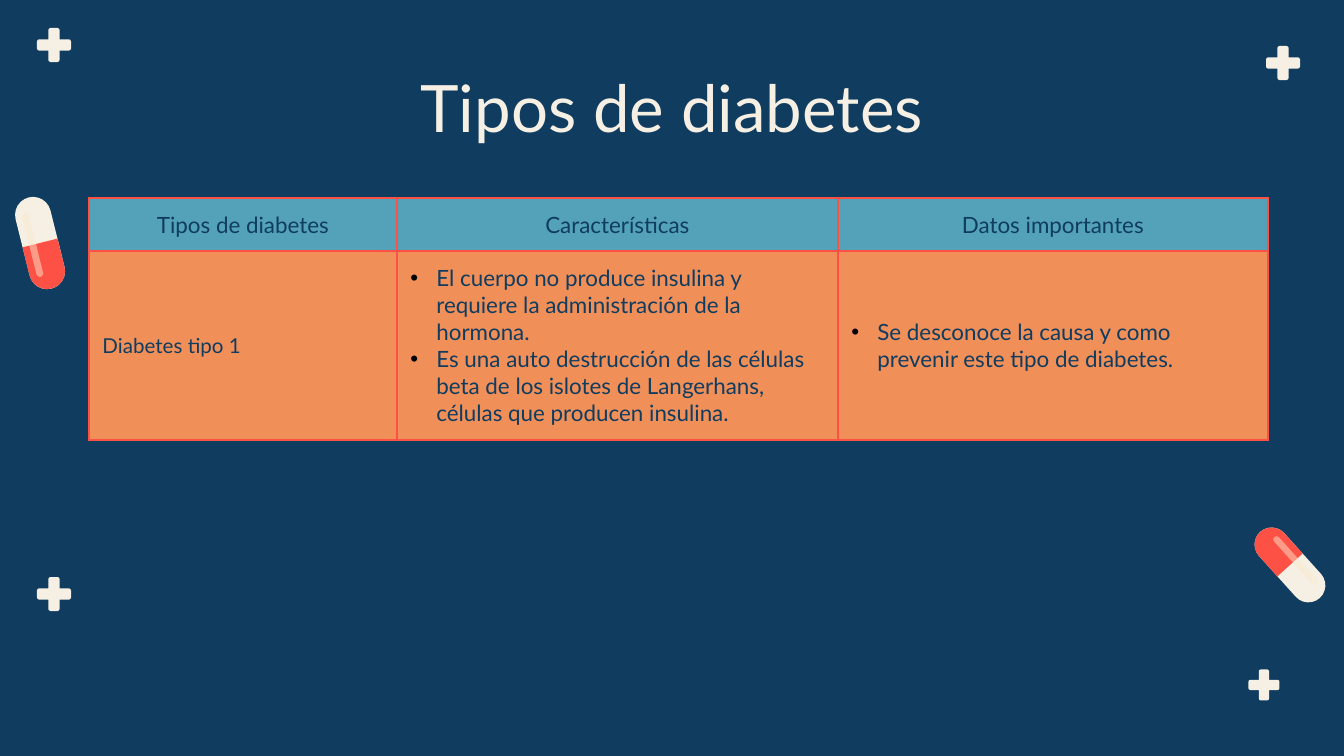
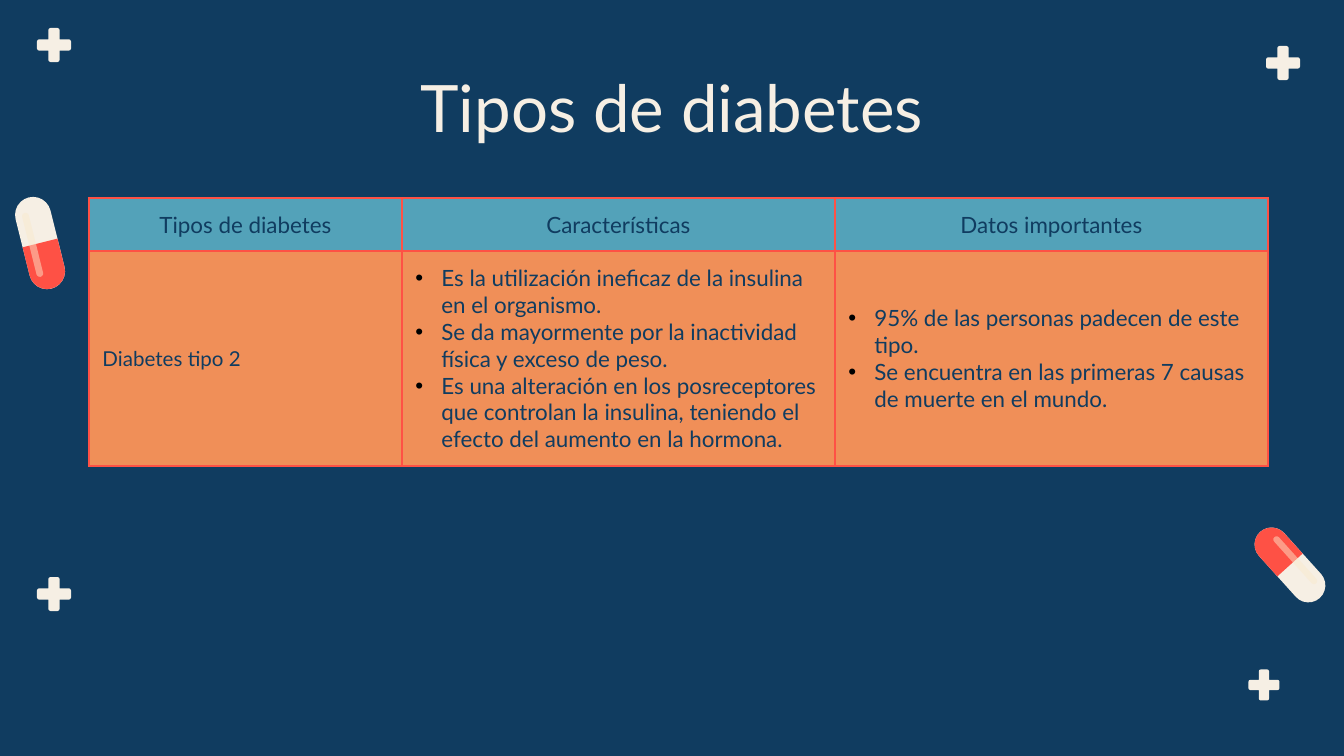
"""Builds two slides that compare the types of diabetes in tables."""
from math import cos, radians, sin

from lxml.etree import SubElement
from pptx import Presentation
from pptx.dml.color import RGBColor
from pptx.enum.shapes import MSO_SHAPE
from pptx.enum.text import MSO_ANCHOR, MSO_AUTO_SIZE, PP_ALIGN
from pptx.oxml.ns import qn
from pptx.util import Pt

FONT = "Lato"
HUES = {"navy": "103C60", "cream": "F6EFE4", "red": "FE5145", "teal": "53A2B9",
        "peach": "F08F58", "gloss": "FAE9CD", "black": "000000"}
HEADS = ["Tipos de diabetes", "Características", "Datos importantes"]
CROSSES = [(1283, 63, 34), (1264, 685, 31), (54, 594, 34), (54, 45, 34)]
PILLS = [(1290, 565, 34, 89, -42), (40, 243, 36, 94, 166)]
TYPES = [
    ("Diabetes tipo 1", [308, 441, 430], 189,
     ["El cuerpo no produce insulina y requiere la administración de la hormona.",
      "Es una auto destrucción de las células beta de los islotes de Langerhans, "
      "células que producen insulina."],
     ["Se desconoce la causa y como prevenir este tipo de diabetes."]),
    ("Diabetes tipo 2", [313, 433, 433], 215,
     ["Es la utilización ineficaz de la insulina en el organismo.",
      "Se da mayormente por la inactividad física y exceso de peso.",
      "Es una alteración en los posreceptores que controlan la insulina, "
      "teniendo el efecto del aumento en la hormona."],
     ["95% de las personas padecen de este tipo.",
      "Se encuentra en las primeras 7 causas de muerte en el mundo."]),
]


def px(size):
    return round(size * 914400 / 134.4)


def rgb(hue):
    return RGBColor.from_string(HUES[hue])


class Deck:
    def __init__(self):
        self.prs = Presentation()
        self.prs.slide_width, self.prs.slide_height = px(1344), px(756)
        fill = self.prs.slide_master.background.fill
        fill.solid()
        fill.fore_color.rgb = rgb("navy")
        self.slide = None

    def start(self, title):
        self.slide = self.prs.slides.add_slide(self.prs.slide_layouts[5])
        for cross in CROSSES:
            self.cross(*cross)
        for pill in PILLS:
            self.pill(*pill)
        self.title(title)

    def paint(self, shape, hue):
        shape.shadow.inherit = False
        shape.fill.solid()
        shape.fill.fore_color.rgb = rgb(hue)
        shape.line.fill.background()

    def type(self, para, size, hue, align):
        para.alignment = align
        font = para.font
        font.name, font.size, font.bold = FONT, Pt(size), False
        font.color.rgb = rgb(hue)

    def title(self, text):
        box = self.slide.shapes.title
        box.left, box.top, box.width, box.height = px(105), px(54), px(1134), px(84)
        frame = box.text_frame
        frame.text = text
        frame.auto_size = MSO_AUTO_SIZE.NONE
        frame.vertical_anchor = MSO_ANCHOR.TOP
        frame.margin_top = frame.margin_bottom = px(13)
        self.type(frame.paragraphs[0], 35, "cream", PP_ALIGN.CENTER)

    def cross(self, x, y, size):
        tip, arm, cut = size / 2, size / 6, size / 16
        bend = cut * 0.3
        side = [(arm, -arm), (tip - cut, -arm), (tip - bend, bend - arm),
                (tip, cut - arm), (tip, arm - cut), (tip - bend, arm - bend),
                (tip - cut, arm)]
        dots = []
        for _ in range(4):
            dots += [(px(x + a), px(y + b)) for a, b in side]
            side = [(-b, a) for a, b in side]
        pen = self.slide.shapes.build_freeform(*dots[0])
        pen.add_line_segments(dots[1:])
        self.paint(pen.convert_to_shape(), "cream")

    def pill(self, x, y, wide, long, turn):
        group = self.slide.shapes.add_group_shape()
        cap, half = MSO_SHAPE.ROUNDED_RECTANGLE, MSO_SHAPE.ROUND_2_SAME_RECTANGLE
        parts = [(cap, wide, long, 0, 0, "cream"),
                 (half, wide, long / 2, 0, long / 4, "red"),
                 (cap, wide * 0.19, long * 0.7, wide * 0.21, 0, "gloss")]
        dx, dy = sin(radians(turn)), -cos(radians(turn))
        for kind, w, h, side, along, hue in parts:
            left = x + dx * along - dy * side - w / 2
            top = y + dy * along + dx * side - h / 2
            part = group.shapes.add_shape(kind, px(left), px(top), px(w), px(h))
            part.adjustments[0] = 0.5
            part.rotation = turn
            self.paint(part, hue)
            if hue == "gloss":
                tint = next(part._element.spPr.iter(qn("a:srgbClr")))
                SubElement(tint, qn("a:alpha"), val="49000")

    def table(self, rows, cols, highs):
        shape = self.slide.shapes.add_table(
            len(rows), len(cols), px(89), px(198), px(sum(cols)), px(sum(highs)))
        grid = shape.table
        grid.horz_banding = False
        for col, wide in zip(grid.columns, cols):
            col.width = px(wide)
        for i, (row, high) in enumerate(zip(rows, highs)):
            grid.rows[i].height = px(high)
            for j, text in enumerate(row):
                self.cell(grid.cell(i, j), text, i == 0)

    def cell(self, cell, text, head):
        self.edge(cell)
        cell.fill.solid()
        cell.fill.fore_color.rgb = rgb("teal" if head else "peach")
        cell.vertical_anchor = MSO_ANCHOR.MIDDLE
        cell.margin_top = cell.margin_bottom = px(13)
        frame = cell.text_frame
        listed = isinstance(text, list)
        frame.text = "\n".join(text) if listed else text
        for para in frame.paragraphs:
            self.type(para, 12 if head or listed else 11, "navy",
                      PP_ALIGN.CENTER if head else PP_ALIGN.LEFT)
            if listed:
                self.bullet(para)

    def edge(self, cell):
        props = cell._tc.get_or_add_tcPr()
        for side in ("L", "R", "T", "B"):
            line = SubElement(props, qn(f"a:ln{side}"), w=str(Pt(1.5)))
            fill = SubElement(line, qn("a:solidFill"))
            SubElement(fill, qn("a:srgbClr"), val=HUES["red"])

    def bullet(self, para):
        props = para._p.get_or_add_pPr()
        props.set("marL", str(px(26)))
        props.set("indent", str(-px(26)))
        tint = props.makeelement(qn("a:buClr"))
        SubElement(tint, qn("a:srgbClr"), val=HUES["black"])
        font = props.makeelement(qn("a:buFont"), typeface="Arial")
        mark = props.makeelement(qn("a:buChar"), char="•")
        for spot, item in enumerate((tint, font, mark)):
            props.insert(spot, item)


def main():
    deck = Deck()
    for name, cols, high, traits, facts in TYPES:
        deck.start("Tipos de diabetes")
        deck.table([HEADS, [name, traits, facts]], cols, [53, high])
    deck.prs.save("out.pptx")


if __name__ == "__main__":
    main()
